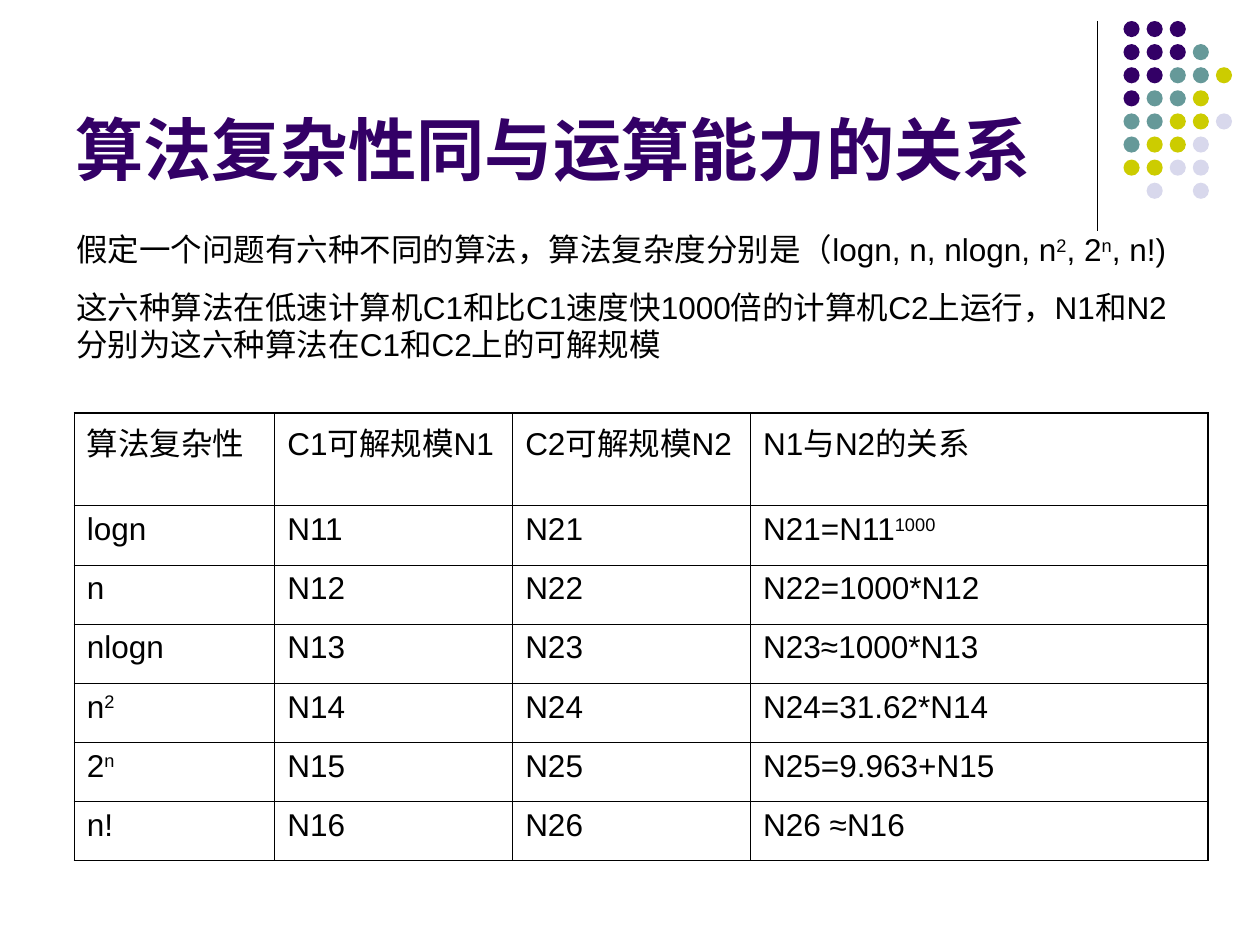
from lxml import etree
from pptx import Presentation
from pptx import util as u
from pptx.dml.color import RGBColor
from pptx.enum import shapes, text
from pptx.oxml.ns import qn

BLACK = RGBColor(0x00, 0x00, 0x00)
PURPLE = RGBColor(0x33, 0x00, 0x66)
TEAL = RGBColor(0x66, 0x99, 0x99)
OLIVE = RGBColor(0xCC, 0xCC, 0x00)
LILAC = RGBColor(0xD8, 0xD8, 0xEC)

FONT = "Arial"
DOT_COLORS = {"P": PURPLE, "T": TEAL, "O": OLIVE, "L": LILAC}
DOT_ROWS = ["PPP", "PPPT", "PPTTO", "PTTO", "TTOOL", "TOOL", "OOLL", " L L"]
DOT_SIZE, DOT_PITCH = 9.2, 13.2

INTRO = [
    "假定一个问题有六种不同的算法，算法复杂度分别是（logn, n, nlogn, n^2^, 2^n^, n!)",
    "这六种算法在低速计算机C1和比C1速度快1000倍的计算机C2上运行，"
    "N1和N2分别为这六种算法在C1和C2上的可解规模",
]
HEADER = ["算法复杂性", "C1可解规模N1", "C2可解规模N2", "N1与N2的关系"]
RELATIONS = [
    ("logn", "N21=N11^1000^"),
    ("n", "N22=1000*N12"),
    ("nlogn", "N23≈1000*N13"),
    ("n^2^", "N24=31.62*N14"),
    ("2^n^", "N25=9.963+N15"),
    ("n!", "N26 ≈N16"),
]
COL_WIDTHS = [114.5, 136, 136, 261.5]
HEADER_HEIGHT, ROW_HEIGHT = 53, 33.8
INNER, OUTER = 0.45, 1.08


def add_runs(p, marked, size=18, color=BLACK, bold=False):
    for i, part in enumerate(marked.split("^")):
        if not part:
            continue
        r = p.add_run()
        r.text = part
        r.font.name = FONT
        r.font.size = u.Pt(size)
        r.font.bold = bold
        r.font.color.rgb = color
        if i % 2:
            r.font._element.set("baseline", "30000")


def add_text(s, x, y, w, h, paragraphs, anchor=text.MSO_ANCHOR.TOP, **style):
    tf = s.shapes.add_textbox(u.Pt(x), u.Pt(y), u.Pt(w), u.Pt(h)).text_frame
    tf.word_wrap = True
    tf.vertical_anchor = anchor
    for i, marked in enumerate(paragraphs):
        p = tf.add_paragraph() if i else tf.paragraphs[0]
        if i:
            p.space_before = u.Pt(11.2)
        add_runs(p, marked, **style)


def add_rule(s, x, top, bottom):
    line = s.shapes.add_connector(
        shapes.MSO_CONNECTOR.STRAIGHT, u.Pt(x), u.Pt(top), u.Pt(x), u.Pt(bottom))
    line.line.color.rgb = BLACK
    line.line.width = u.Pt(0.75)
    etree.SubElement(line._element.spPr, qn("a:effectLst"))


def add_dots(s, left, top):
    group = s.shapes.add_group_shape()
    for row, codes in enumerate(DOT_ROWS):
        for col, code in enumerate(codes):
            if code == " ":
                continue
            sp = group.shapes.add_shape(
                shapes.MSO_SHAPE.OVAL,
                u.Pt(left + col * DOT_PITCH), u.Pt(top + row * DOT_PITCH),
                u.Pt(DOT_SIZE), u.Pt(DOT_SIZE))
            sp.shadow.inherit = False
            sp.fill.solid()
            sp.fill.fore_color.rgb = DOT_COLORS[code]
            sp.line.fill.background()


def set_borders(cell, widths):
    tcPr = cell._tc.get_or_add_tcPr()
    for side, width in zip("LRTB", widths):
        ln = etree.SubElement(tcPr, qn(f"a:ln{side}"), w=str(u.Pt(width)))
        fill = etree.SubElement(ln, qn("a:solidFill"))
        etree.SubElement(fill, qn("a:srgbClr"), val=str(BLACK))


def add_table(s, x, y, rows):
    last_row, last_col = len(rows) - 1, len(COL_WIDTHS) - 1
    height = HEADER_HEIGHT + last_row * ROW_HEIGHT
    table = s.shapes.add_table(
        len(rows), len(COL_WIDTHS), u.Pt(x), u.Pt(y),
        u.Pt(sum(COL_WIDTHS)), u.Pt(height)).table
    table.first_row = table.horz_banding = False
    for col, width in zip(table.columns, COL_WIDTHS):
        col.width = u.Pt(width)
    for i, values in enumerate(rows):
        table.rows[i].height = u.Pt(ROW_HEIGHT if i else HEADER_HEIGHT)
        for j, marked in enumerate(values):
            cell = table.cell(i, j)
            add_runs(cell.text_frame.paragraphs[0], marked)
            edges = [j == 0, j == last_col, i == 0, i == last_row]
            set_borders(cell, [OUTER if edge else INNER for edge in edges])
            cell.fill.background()


def main():
    prs = Presentation()
    prs.slide_width, prs.slide_height = u.Pt(720), u.Pt(540)
    s = prs.slides.add_slide(prs.slide_layouts[6])
    add_rule(s, 627, 12, 132)
    add_dots(s, 642, 12)
    add_text(s, 36, 9.5, 594, 102, ["算法复杂性同与运算能力的关系"],
             anchor=text.MSO_ANCHOR.BOTTOM, size=39, color=PURPLE, bold=True)
    rows = [HEADER] + [[name, f"N1{i}", f"N2{i}", relation]
                       for i, (name, relation) in enumerate(RELATIONS, 1)]
    add_table(s, 42.5, 236, rows)
    add_text(s, 36.5, 128, 646.5, 83.5, INTRO)
    prs.save("out.pptx")


if __name__ == "__main__":
    main()
